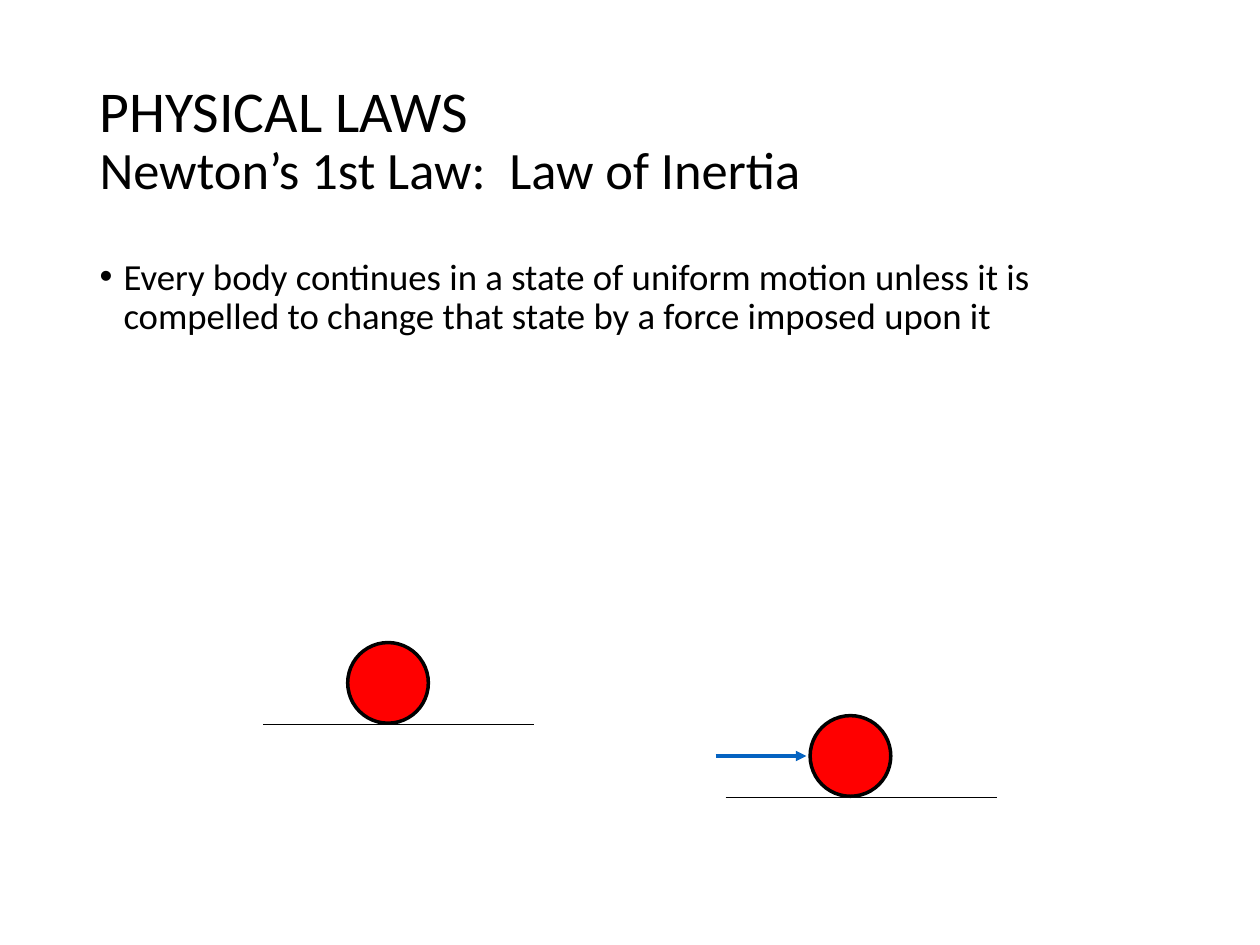
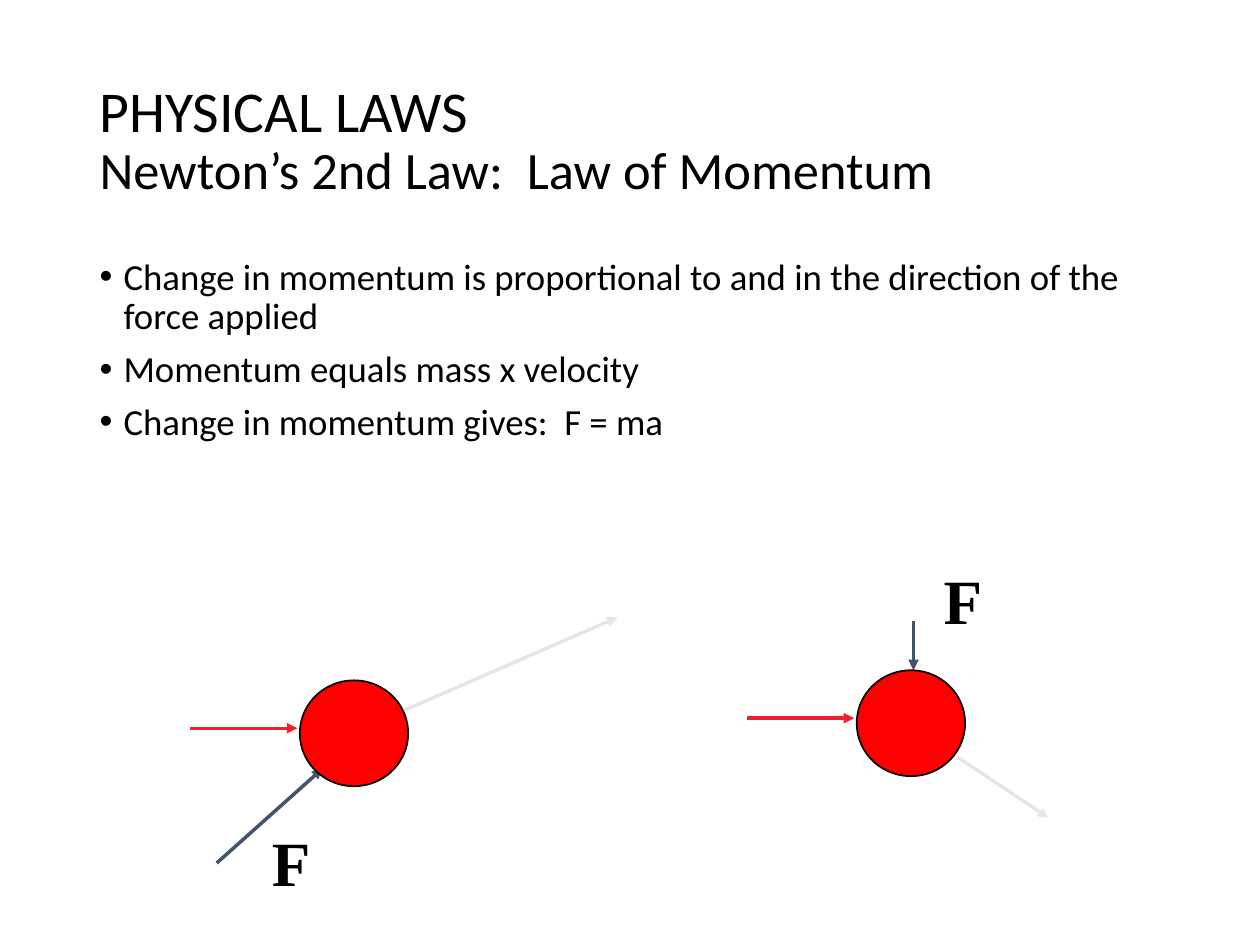
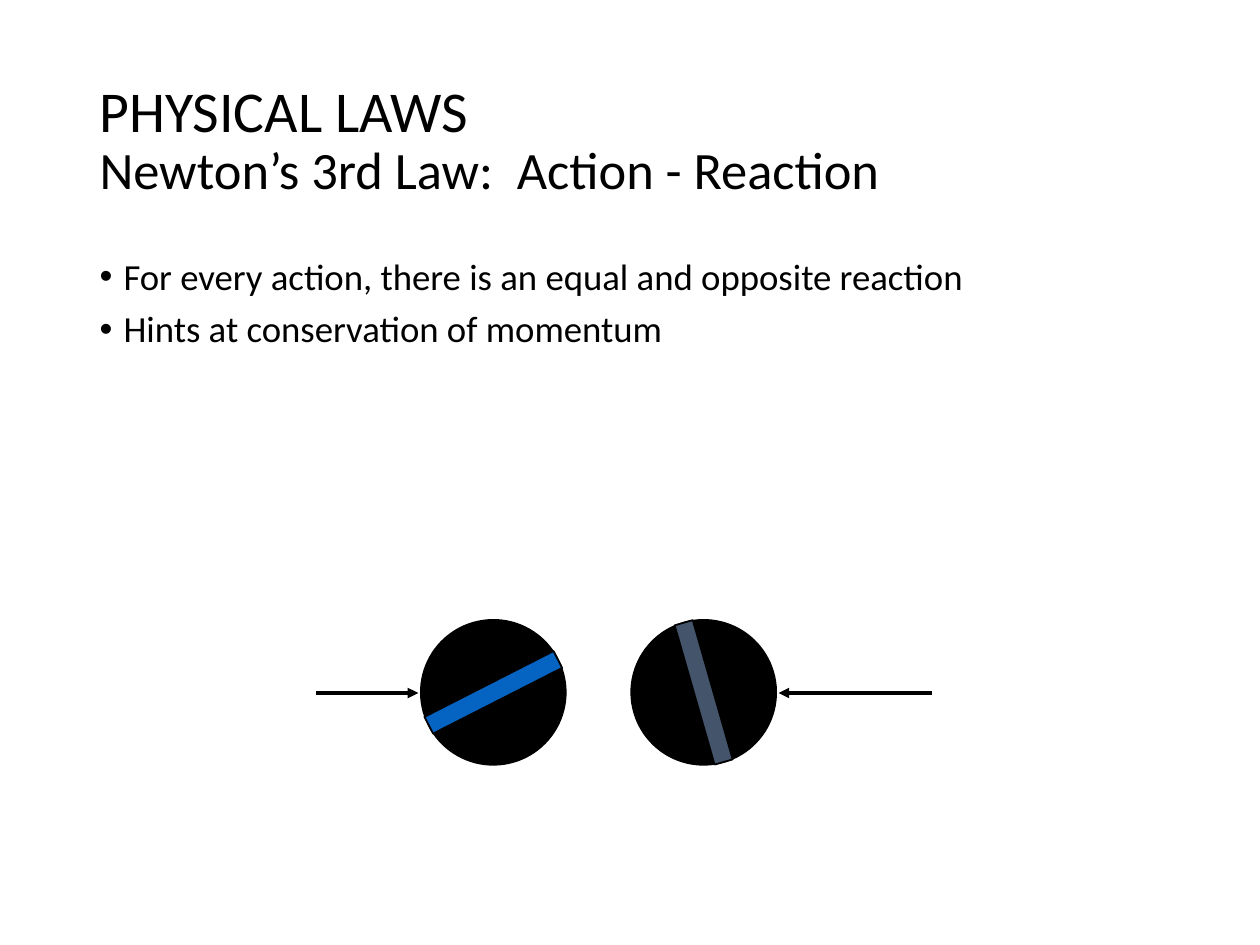
import pptx
import pptx.dml.color
import pptx.enum.shapes
import pptx.enum.text
import pptx.util
from lxml import etree
from pptx.oxml.ns import qn

Inches = pptx.util.Inches
Pt = pptx.util.Pt
RGBColor = pptx.dml.color.RGBColor
Shape = pptx.enum.shapes.MSO_SHAPE

BLACK = RGBColor(0x00, 0x00, 0x00)
RED = RGBColor(0xFF, 0x00, 0x00)
CRIMSON = RGBColor(0xF0, 0x20, 0x2F)
BLUE = RGBColor(0x05, 0x63, 0xC1)
SLATE = RGBColor(0x44, 0x54, 0x6A)
GREY = RGBColor(0xE7, 0xE6, 0xE6)

BODY_FONT = "Calibri"
LABEL_FONT = "Times New Roman"
TITLE_BOX = (0.69, 0.4, 8.63, 1.45)
LIST_BOX = (0.69, 2, 8.63, 4.76)
HEADING = "PHYSICAL LAWS"
HEADING_SIZE = 33


def place(box, left, top, width, height):
    """Move and size a box, in inches."""
    box.left, box.top = Inches(left), Inches(top)
    box.width, box.height = Inches(width), Inches(height)


def add_span(para, text, size, font=BODY_FONT, bold=False):
    """Add one black run to a paragraph."""
    span = para.add_run()
    span.text = text
    span.font.name = font
    span.font.size = Pt(size)
    span.font.bold = bold
    span.font.color.rgb = BLACK


def fill_title(box, law):
    """Write the shared heading with the law's name below it."""
    place(box, *TITLE_BOX)
    frame = box.text_frame
    frame.auto_size = pptx.enum.text.MSO_AUTO_SIZE.NONE
    frame.vertical_anchor = pptx.enum.text.MSO_ANCHOR.MIDDLE
    para = frame.paragraphs[0]
    para.alignment = pptx.enum.text.PP_ALIGN.LEFT
    para.line_spacing = 0.9
    add_span(para, HEADING, HEADING_SIZE)
    para.add_line_break()
    line_break = para._p.find(qn("a:br"))
    etree.SubElement(line_break, qn("a:rPr"), sz=str(HEADING_SIZE * 100))
    add_span(para, law, 30)


def fill_list(box, points):
    """Write the bulleted statements of a law."""
    place(box, *LIST_BOX)
    frame = box.text_frame
    frame.auto_size = pptx.enum.text.MSO_AUTO_SIZE.NONE
    for index, point in enumerate(points):
        para = frame.add_paragraph() if index else frame.paragraphs[0]
        properties = para._p.get_or_add_pPr()
        properties.set("marL", str(Inches(0.19)))
        properties.set("indent", str(-Inches(0.19)))
        etree.SubElement(properties, qn("a:buChar"), char="•")
        para.line_spacing = 0.9
        para.space_before = Pt(7.5 if index else 0)
        add_span(para, point, 21)


def add_law(deck, law, points):
    """Add a page with its title and list, and return it."""
    page = deck.slides.add_slide(deck.slide_layouts[1])
    fill_title(page.shapes.title, law)
    fill_list(page.placeholders[1], points)
    return page


def add_solid(page, kind, box, fill, weight=1, rotation=0):
    """Add a filled shape with a black outline."""
    solid = page.shapes.add_shape(kind, *map(Inches, box))
    solid.shadow.inherit = False
    solid.fill.solid()
    solid.fill.fore_color.rgb = fill
    solid.line.color.rgb = BLACK
    solid.line.width = Pt(weight)
    solid.rotation = rotation


def add_line(page, origin, start, end, colour, weight=2, arrow=True):
    """Add a line between two points measured from an origin."""
    left, top = origin
    ends = (left + start[0], top + start[1], left + end[0], top + end[1])
    line = page.shapes.add_connector(
        pptx.enum.shapes.MSO_CONNECTOR.STRAIGHT, *map(Inches, ends))
    line.line.color.rgb = colour
    line.line.width = Pt(weight)
    if arrow:
        etree.SubElement(line.line._get_or_add_ln(), qn("a:tailEnd"), type="triangle")
    etree.SubElement(line._element.spPr, qn("a:effectLst"))


def add_force_label(page, left, top):
    """Add the letter that marks a force."""
    box = page.shapes.add_textbox(Inches(left), Inches(top), Inches(0.5), Inches(0.7))
    box.text_frame.word_wrap = False
    add_span(box.text_frame.paragraphs[0], "F", 36, LABEL_FONT, True)


def draw_resting_ball(page, origin, pushed=False):
    """Draw a ball on the ground, with a push from the left if asked."""
    left, top = origin
    add_line(page, origin, (0, 0.65), (2.15, 0.65), BLACK, 1, False)
    add_solid(page, Shape.OVAL, (left + 0.67, top, 0.64, 0.64), RED, 2)
    if pushed:
        add_line(page, origin, (-0.08, 0.32), (0.64, 0.32), BLUE)


def draw_struck_ball(page, origin, force, course, label):
    """Draw a moving ball, the force that strikes it and its new course."""
    left, top = origin
    add_line(page, origin, (-0.87, 0.38), (-0.02, 0.38), CRIMSON)
    add_line(page, origin, *force, SLATE)
    add_line(page, origin, *course, GREY)
    add_solid(page, Shape.OVAL, (left, top, 0.86, 0.84), RED)
    add_force_label(page, left + label[0], top + label[1])


def draw_striped_ball(page, origin, stripe, rotation, arrow_start, arrow_end):
    """Draw a turned ball with a stripe and an arrow towards it."""
    left, top = origin
    add_solid(page, Shape.OVAL, (left, top, 1.15, 1.15), BLACK, rotation=rotation)
    add_solid(page, Shape.RECTANGLE, (left + 0.5, top, 0.15, 1.15), stripe,
              rotation=rotation)
    add_line(page, origin, (arrow_start, 0.58), (arrow_end, 0.58), BLACK)


def add_inertia(deck):
    """Add the page on the first law."""
    page = add_law(deck, "Newton’s 1st Law:  Law of Inertia", [
        "Every body continues in a state of uniform motion unless it is "
        "compelled to change that state by a force imposed upon it"])
    draw_resting_ball(page, (2.09, 5.1))
    draw_resting_ball(page, (5.76, 5.68), pushed=True)


def add_momentum(deck):
    """Add the page on the second law."""
    page = add_law(deck, "Newton’s 2nd Law:  Law of Momentum", [
        "Change in momentum is proportional to and in the direction of the force applied",
        "Momentum equals mass x velocity",
        "Change in momentum gives:  F = ma"])
    draw_struck_ball(page, (6.8, 5.32), force=((0.45, -0.39), (0.45, 0)),
                     course=((0.8, 0.69), (1.52, 1.17)), label=(0.59, -0.91))
    draw_struck_ball(page, (2.38, 5.4), force=((-0.66, 1.45), (0.18, 0.7)),
                     course=((0.8, 0.25), (2.52, -0.5)), label=(-0.32, 1.09))


def add_reaction(deck):
    """Add the page on the third law."""
    page = add_law(deck, "Newton’s 3rd Law:  Action - Reaction", [
        "For every action, there is an equal and opposite reaction",
        "Hints at conservation of momentum"])
    draw_striped_ball(page, (3.34, 4.92), BLUE, 63, -0.83, -0.02)
    draw_striped_ball(page, (5.01, 4.92), SLATE, 344, 2.39, 1.17)


def main():
    """Build and save the deck."""
    deck = pptx.Presentation()
    deck.slide_width, deck.slide_height = Inches(10), Inches(7.5)
    add_inertia(deck)
    add_momentum(deck)
    add_reaction(deck)
    deck.save("out.pptx")


if __name__ == "__main__":
    main()
